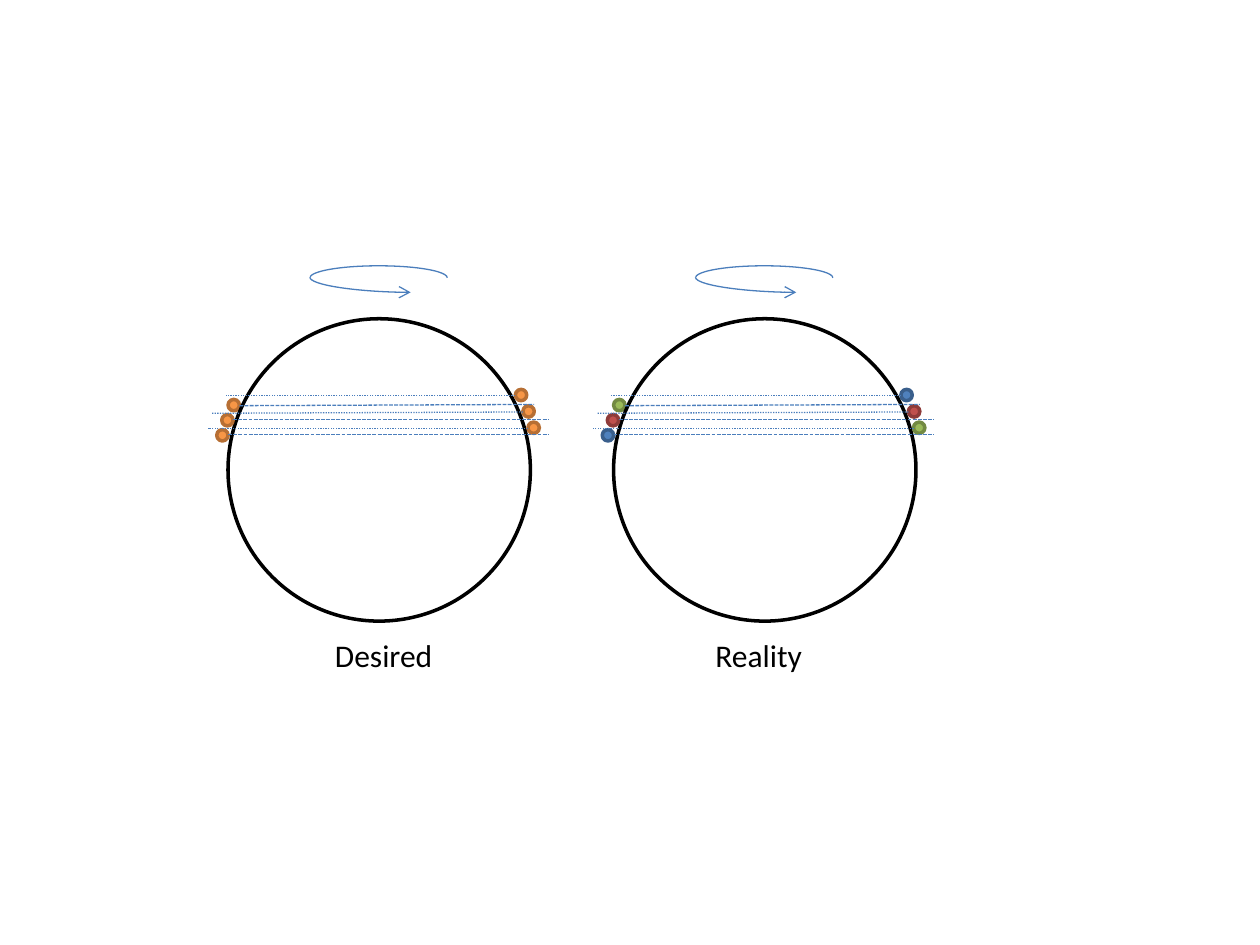
from dataclasses import dataclass

from lxml.etree import SubElement
from pptx import Presentation
from pptx.dml.color import RGBColor
from pptx.enum.dml import MSO_LINE
from pptx.enum.shapes import MSO_CONNECTOR, MSO_SHAPE
from pptx.enum.text import MSO_AUTO_SIZE
from pptx.oxml.ns import qn
from pptx.util import Inches, Pt


@dataclass(frozen=True)
class Theme:
    """Colours, type and line sizes of the slide."""
    font: str = "Calibri"
    label_size: int = 18
    ink: str = "000000"
    paper: str = "FFFFFF"
    path_line: str = "4B7EBC"
    thin: float = 0.75
    thick: float = 2
    orange: tuple = ("F79646", "B76F34")
    green: tuple = ("9BBB59", "738A42")
    red: tuple = ("C0504D", "8E3B39")
    blue: tuple = ("4F81BD", "3A5F8C")


THEME = Theme()
BEAD_SIZE = 0.09
GLOBE_SIZE = 2.4
PANEL_STEP = 3.06
LEFT_BEADS = [(1.81, 3.17), (1.76, 3.29), (1.72, 3.41)]
RIGHT_BEADS = [(4.09, 3.09), (4.15, 3.22), (4.19, 3.35)]
DASH, DOT = MSO_LINE.SQUARE_DOT, MSO_LINE.ROUND_DOT
ORBITS = [
    (1.9, 3.22, 4.24, 3.21, DASH),
    (1.85, 3.33, 4.35, 3.33, DASH),
    (4.09, 3.14, 1.79, 3.14, DOT),
    (4.15, 3.27, 1.68, 3.28, DOT),
    (4.19, 3.4, 1.65, 3.4, DOT),
    (1.81, 3.45, 4.35, 3.45, DASH),
]


def style_line(line, color, width):
    """Give a line its colour and width in points."""
    line.color.rgb = RGBColor.from_string(color)
    line.width = Pt(width)


def add_circle(slide, left, top, size, fill, outline):
    """Draw a filled circle with a thick outline."""
    circle = slide.shapes.add_shape(
        MSO_SHAPE.OVAL, Inches(left), Inches(top), Inches(size), Inches(size))
    circle.shadow.inherit = False
    circle.fill.solid()
    circle.fill.fore_color.rgb = RGBColor.from_string(fill)
    style_line(circle.line, outline, THEME.thick)


def add_path(slide, kind, x1, y1, x2, y2):
    """Draw a thin connector without a shadow."""
    path = slide.shapes.add_connector(
        kind, Inches(x1), Inches(y1), Inches(x2), Inches(y2))
    style_line(path.line, THEME.path_line, THEME.thin)
    SubElement(path._element.spPr, qn("a:effectLst"))
    return path


def add_orbit(slide, x1, y1, x2, y2, dash):
    """Draw a dashed line across the globe."""
    orbit = add_path(slide, MSO_CONNECTOR.STRAIGHT, x1, y1, x2, y2)
    orbit.line.dash_style = dash


def add_rotation(slide, shift):
    """Draw the open loop with an arrow that shows the spin."""
    loop = slide.shapes.add_shape(
        MSO_SHAPE.ARC, Inches(2.46 + shift), Inches(2.11), Inches(1.09), Inches(0.19))
    loop.shadow.inherit = False
    loop.fill.background()
    style_line(loop.line, THEME.path_line, THEME.thin)
    loop.adjustments[0] = 108.489
    loop.adjustments[1] = 0

    arrow = add_path(
        slide, MSO_CONNECTOR.CURVE, 2.92 + shift, 1.86, 2.8 + shift, 2.66)
    properties = arrow._element.spPr
    properties.find(qn("a:xfrm")).set("rot", "16200000")
    properties.find(qn("a:prstGeom")).set("prst", "curvedConnector2")
    SubElement(properties.find(qn("a:ln")), qn("a:tailEnd"), type="arrow")


def add_label(slide, text, left, width):
    """Write the name of a panel below its globe."""
    label = slide.shapes.add_textbox(
        Inches(left), Inches(5), Inches(width), Inches(0.4))
    frame = label.text_frame
    frame.word_wrap = False
    frame.auto_size = MSO_AUTO_SIZE.SHAPE_TO_FIT_TEXT
    run = frame.paragraphs[0].add_run()
    run.text = text
    run.font.name = THEME.font
    run.font.size = Pt(THEME.label_size)
    run.font.color.rgb = RGBColor.from_string(THEME.ink)


def add_panel(slide, shift, left_colors, right_colors):
    """Draw a spinning globe with its beads and orbits."""
    beads = [(x + shift, y, BEAD_SIZE, *colors) for (x, y), colors in
             zip(LEFT_BEADS + RIGHT_BEADS, left_colors + right_colors)]
    globe = (1.81 + shift, 2.53, GLOBE_SIZE, THEME.paper, THEME.ink)
    for circle in [beads[0], globe, *beads[1:]]:
        add_circle(slide, *circle)
    for x1, y1, x2, y2, dash in ORBITS:
        add_orbit(slide, x1 + shift, y1, x2 + shift, y2, dash)
    add_rotation(slide, shift)


def main():
    """Build and save the slide."""
    deck = Presentation()
    deck.slide_width, deck.slide_height = Inches(10), Inches(7.5)
    slide = deck.slides.add_slide(deck.slide_layouts[6])
    same = [THEME.orange] * 3
    mixed = [THEME.green, THEME.red, THEME.blue]
    add_panel(slide, 0, same, same)
    add_panel(slide, PANEL_STEP, mixed, mixed[::-1])
    add_label(slide, "Desired", 2.56, 0.98)
    add_label(slide, "Reality", 5.58, 0.9)
    deck.save("out.pptx")


if __name__ == "__main__":
    main()
